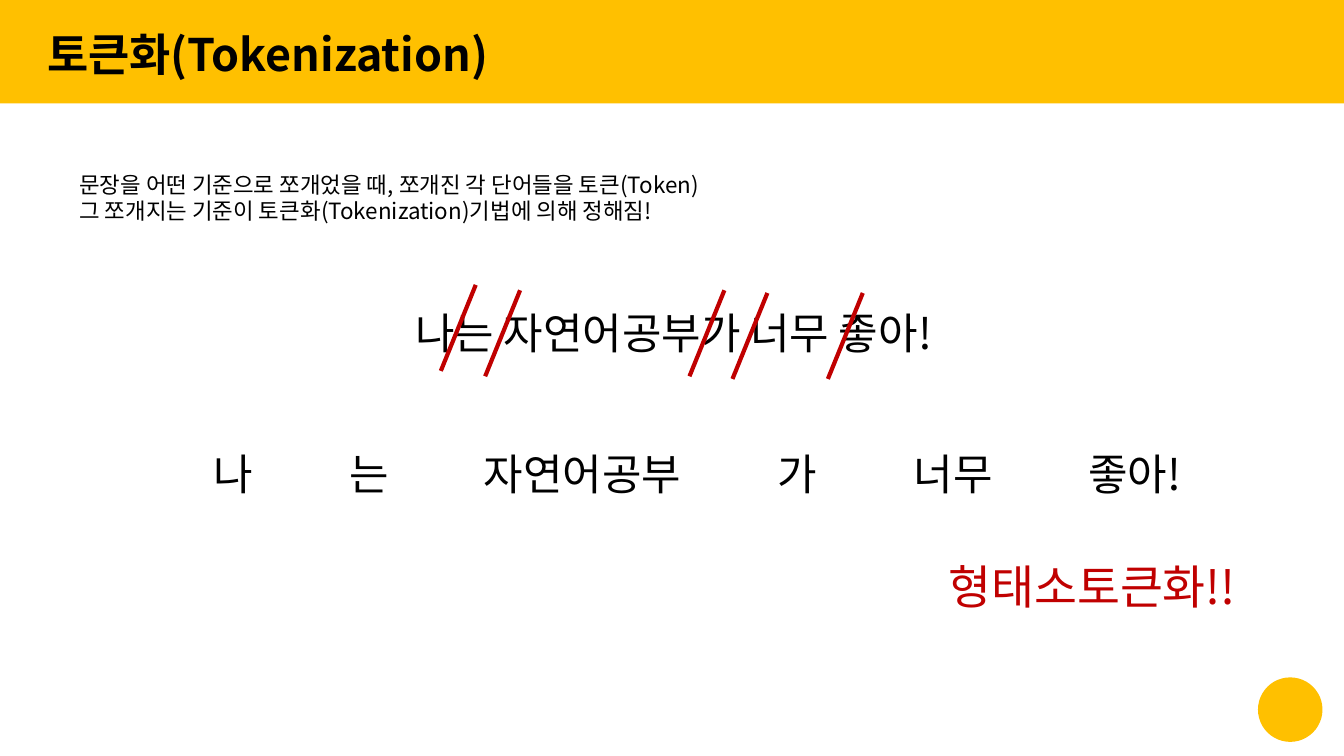
from lxml import etree
from pptx import Presentation
from pptx.dml.color import RGBColor
from pptx.enum import shapes, text
from pptx.oxml.ns import qn
from pptx.util import Inches, Pt

HUES = {"gold": "FFC000", "ink": "000000", "red": "C00000"}
FONT = "Noto Sans CJK KR"


def hue(name):
    return RGBColor.from_string(HUES[name])


def write(frame, words, size=12, color="ink", bold=False, lead=1.0,
          pad=(0.1, 0.1), anchor=text.MSO_ANCHOR.TOP, plain=False, stops=()):
    """Fill a text frame, one paragraph per line of words."""
    frame.word_wrap = True
    frame.auto_size = text.MSO_AUTO_SIZE.NONE
    frame.vertical_anchor = anchor
    frame.margin_left = frame.margin_right = Inches(pad[0])
    frame.margin_top = frame.margin_bottom = Inches(pad[1])
    for i, line in enumerate(words.split("\n")):
        para = frame.add_paragraph() if i else frame.paragraphs[0]
        para.alignment = text.PP_ALIGN.LEFT
        para.line_spacing = lead
        para.space_before = para.space_after = Pt(0)
        props = para._p.get_or_add_pPr()
        if plain:  # no bullet, no indent
            props.set("marL", "0")
            props.set("indent", "0")
            etree.SubElement(props, qn("a:buNone"))
        if stops:
            tabs = etree.SubElement(props, qn("a:tabLst"))
            for stop in stops:
                etree.SubElement(tabs, qn("a:tab"), pos=str(Inches(stop)), algn="l")
        run = para.add_run()
        run.text = line
        font = run.font
        font.name, font.size, font.bold = FONT, Pt(size), bold
        font.color.rgb = hue(color)
        marks = run._r.get_or_add_rPr()
        marks.set("kern", "0")
        etree.SubElement(marks, qn("a:ea"), typeface=FONT)


class Page:
    def __init__(self, deck):
        self.slide = deck.slides.add_slide(deck.slide_layouts[1])
        self.items = self.slide.shapes

    def shape(self, kind, *box):
        item = self.items.add_shape(kind, *map(Inches, box))
        item.shadow.inherit = False
        item.fill.solid()
        item.fill.fore_color.rgb = hue("gold")
        item.line.fill.background()

    def holder(self, index, box, words, **style):
        item = self.slide.placeholders[index]
        item.left, item.top, item.width, item.height = map(Inches, box)
        write(item.text_frame, words, plain=True, **style)
        self.items._spTree.append(item._element)  # bring to front

    def label(self, box, words, **style):
        item = self.items.add_textbox(*map(Inches, box))
        write(item.text_frame, words, **style)

    def slash(self, x, y):
        ends = map(Inches, (x, y, x - 0.26, y + 0.64))
        item = self.items.add_connector(shapes.MSO_CONNECTOR.STRAIGHT, *ends)
        item.line.color.rgb = hue("red")
        item.line.width = Pt(2.25)
        etree.SubElement(item._element.spPr, qn("a:effectLst"))


def main():
    deck = Presentation()
    deck.slide_width = Inches(10)
    deck.slide_height = deck.slide_width * 9 // 16
    page = Page(deck)

    # Title bar and corner dot
    page.shape(shapes.MSO_SHAPE.OVAL, 9.36, 5.04, 0.48, 0.48)
    page.shape(shapes.MSO_SHAPE.RECTANGLE, 0, 0, 10, 0.77)
    page.holder(0, (0.28, 0.28, 7.67, 0.29), "토큰화(Tokenization)", size=24,
                bold=True, lead=0.9, pad=(0.07, 0.04), anchor=text.MSO_ANCHOR.MIDDLE)

    # Definition
    page.holder(1, (0.49, 1.17, 8.99, 0.61),
                "문장을 어떤 기준으로 쪼개었을 때, 쪼개진 각 단어들을 토큰(Token)\n"
                "그 쪼개지는 기준이 토큰화(Tokenization)기법에 의해 정해짐!")

    # Sentence, then its tokens on tab stops
    page.label((2.99, 2.18, 4.46, 0.59), "나는 자연어공부가 너무 좋아!", size=23)
    tokens = ["나", "는", "자연어공부", "가", "너무", "좋아!"]
    page.label((1.49, 3.23, 7.54, 0.59), "\t".join(tokens), size=23,
               stops=(1.01, 2.01, 4.2, 5.21, 6.51))

    # Cuts between tokens
    for x, y in [(3.54, 2.12), (3.87, 2.16), (5.39, 2.16), (5.71, 2.18), (6.42, 2.18)]:
        page.slash(x, y)

    # Conclusion
    page.label((6.96, 4.05, 2.52, 0.62), "형태소토큰화!!", size=25, color="red")

    deck.save("out.pptx")


if __name__ == "__main__":
    main()
